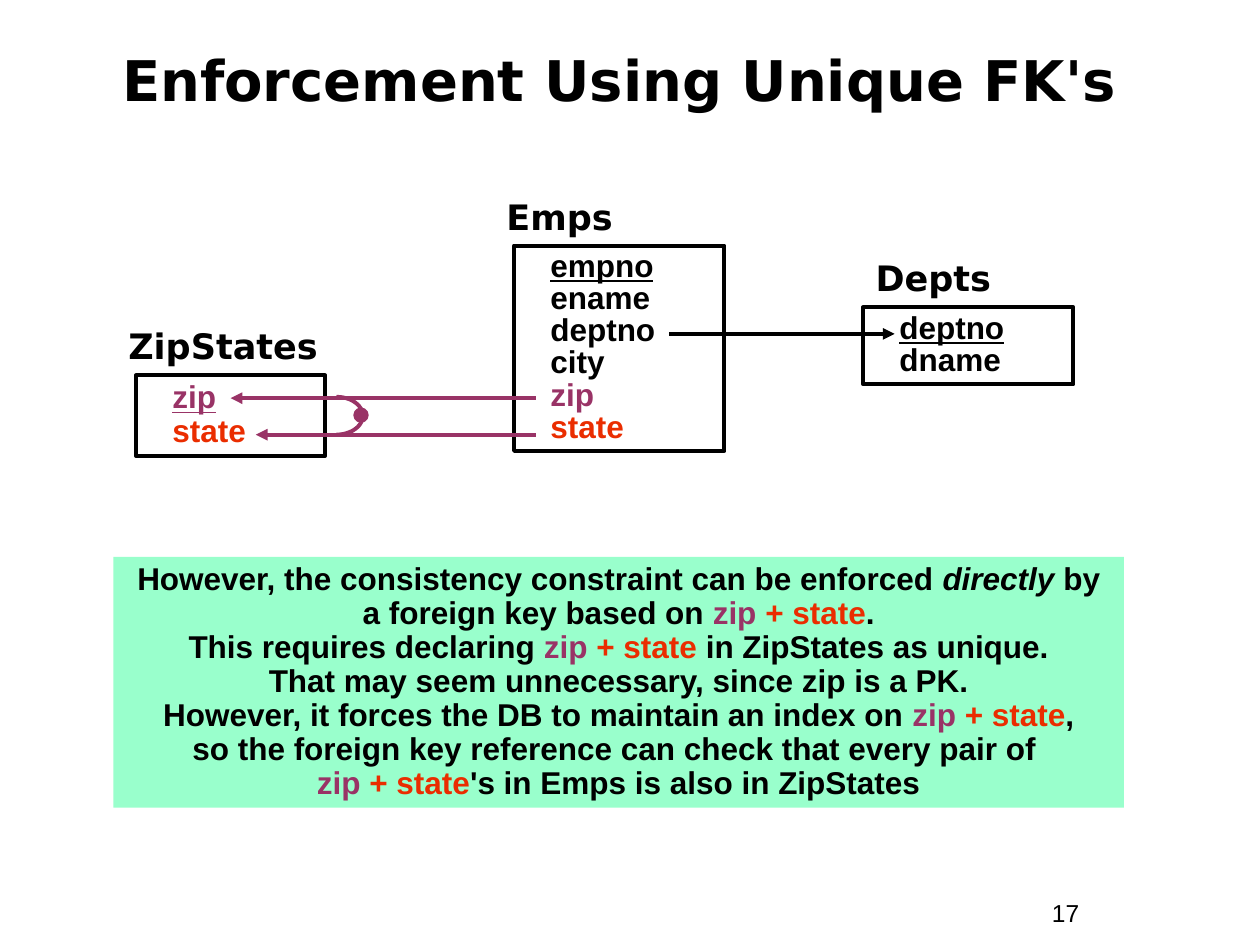
"""Build a slide on enforcing consistency with unique foreign keys."""
import math
from dataclasses import dataclass

from lxml import etree
from pptx import Presentation
from pptx.dml.color import RGBColor
from pptx.enum.shapes import MSO_CONNECTOR, MSO_SHAPE
from pptx.enum.text import MSO_ANCHOR, PP_ALIGN
from pptx.oxml.ns import qn
from pptx.util import Pt

SCALE = 9144
BLANK_LAYOUT = 6
RECTANGLE, OVAL = MSO_SHAPE.RECTANGLE, MSO_SHAPE.OVAL
STRAIGHT = MSO_CONNECTOR.STRAIGHT
TOP, MIDDLE = MSO_ANCHOR.TOP, MSO_ANCHOR.MIDDLE
LEFT, CENTER = PP_ALIGN.LEFT, PP_ALIGN.CENTER


@dataclass(frozen=True)
class Theme:
    black: str = "000000"
    plum: str = "993366"
    red: str = "EA2D00"
    mint: str = "99FFCC"
    heading_font: str = "DejaVu Sans"
    body_font: str = "Arial"
    title_size: int = 32
    label_size: int = 20
    body_size: int = 18
    number_size: int = 14
    line_width: float = 2.25
    indent: int = 19


def px(length):
    return round(length * SCALE)


def write(paragraph, text, font, size, color, bold=True, italic=False, underline=False):
    for index, line in enumerate(text.split("\n")):
        if index:
            paragraph.add_line_break()
        if line:
            run = paragraph.add_run()
            run.text = line
            run.font.name, run.font.size = font, Pt(size)
            run.font.color.rgb = RGBColor.from_string(color)
            run.font.bold, run.font.italic, run.font.underline = bold, italic, underline


class SlideBuilder:
    def __init__(self, slide, theme):
        self.shapes = slide.shapes
        self.theme = theme

    def frame(self, shape, anchor=TOP):
        frame = shape.text_frame
        frame.word_wrap = True
        frame.vertical_anchor = anchor
        frame.margin_left = frame.margin_right = px(10)
        frame.margin_top = frame.margin_bottom = px(5)
        return frame

    def paint(self, shape, fill=None, line=None):
        shape.shadow.inherit = False
        if fill:
            shape.fill.solid()
            shape.fill.fore_color.rgb = RGBColor.from_string(fill)
        else:
            shape.fill.background()
        if line:
            shape.line.color.rgb = RGBColor.from_string(line)
            shape.line.width = Pt(self.theme.line_width)
        else:
            shape.line.fill.background()

    def shape(self, kind, box, fill=None, line=None):
        shape = self.shapes.add_shape(kind, *map(px, box))
        self.paint(shape, fill, line)
        return shape

    def text(self, box, text, font, size, anchor=TOP, align=LEFT, spacing=1.0, bold=True):
        frame = self.frame(self.shapes.add_textbox(*map(px, box)), anchor)
        paragraph = frame.paragraphs[0]
        paragraph.alignment, paragraph.line_spacing = align, spacing
        write(paragraph, text, font, size, self.theme.black, bold=bold)

    def label(self, box, text):
        self.text(box, text, self.theme.heading_font, self.theme.label_size)

    def entity(self, box, fields, spacing=0.85):
        theme = self.theme
        frame = self.frame(self.shape(RECTANGLE, box, line=theme.black))
        colors = {"zip": theme.plum, "state": theme.red}
        for index, field in enumerate(fields):
            paragraph = frame.add_paragraph() if index else frame.paragraphs[0]
            paragraph._p.get_or_add_pPr().set("marL", str(px(theme.indent)))
            paragraph.alignment, paragraph.line_spacing = LEFT, spacing
            write(paragraph, field, theme.body_font, theme.body_size,
                  colors.get(field, theme.black), underline=index == 0)

    def arrow(self, start, end, y, color):
        connector = self.shapes.add_connector(STRAIGHT, px(start), px(y), px(end), px(y))
        connector.line.color.rgb = RGBColor.from_string(color)
        connector.line.width = Pt(self.theme.line_width)
        etree.SubElement(connector.line._get_or_add_ln(), qn("a:tailEnd"), type="triangle")
        etree.SubElement(connector._element.spPr, qn("a:effectLst"))

    def half_ellipse(self, x, y, radius_x, radius_y, color, steps=24):
        angles = [math.pi * (step / steps - 0.5) for step in range(steps + 1)]
        points = [(px(x + radius_x * math.cos(angle)), px(y + radius_y * math.sin(angle)))
                  for angle in angles]
        builder = self.shapes.build_freeform(*points[0])
        builder.add_line_segments(points[1:], close=False)
        self.paint(builder.convert_to_shape(), line=color)

    def callout(self, box, parts):
        theme = self.theme
        frame = self.frame(self.shape(RECTANGLE, box, fill=theme.mint))
        paragraph = frame.paragraphs[0]
        paragraph.alignment, paragraph.line_spacing = CENTER, 0.9
        for text, style in parts:
            write(paragraph, text, theme.body_font, theme.body_size,
                  **{"color": theme.black, **style})


def main():
    theme = Theme()
    presentation = Presentation()
    presentation.slide_width, presentation.slide_height = px(1000), px(750)
    slide = presentation.slides.add_slide(presentation.slide_layouts[BLANK_LAYOUT])
    builder = SlideBuilder(slide, theme)

    builder.text((825, 708, 92, 34), "17", theme.body_font, theme.number_size, bold=False)
    builder.text((33, 21, 933, 92), "Enforcement Using Unique FK's ", theme.heading_font,
                 theme.title_size, anchor=MIDDLE, align=CENTER, spacing=0.85)

    builder.label((392, 150, 158, 44), "Emps")
    builder.entity((408, 195, 167, 163),
                   ["empno", "ename", "deptno", "city", "zip", "state"])
    builder.label((685, 199, 215, 44), "Depts")
    builder.entity((685, 244, 167, 61), ["deptno", "dname"])
    builder.arrow(531, 710, 265, theme.black)
    builder.label((92, 253, 215, 44), "ZipStates")
    builder.entity((108, 298, 150, 64), ["zip", "state"], spacing=0.9)

    for end, y in ((183, 316), (203, 345)):
        builder.arrow(425, end, y, theme.plum)
    builder.half_ellipse(267, 330, 21, 15, theme.plum)
    builder.shape(OVAL, (282, 325, 9, 9), fill=theme.plum, line=theme.plum)

    key = [("zip", {"color": theme.plum}), (" + state", {"color": theme.red})]
    builder.callout((90, 442, 802, 199), [
        ("However, the consistency constraint can be enforced ", {}),
        ("directly", {"italic": True}),
        (" by a foreign key based on ", {}), *key,
        (".\nThis requires declaring ", {}), *key,
        (" in ZipStates as unique.\nThat may seem unnecessary, since zip is a PK.\n"
         "However, it forces the DB to maintain an index on ", {}), *key,
        (",\nso the foreign key reference can check that every pair of \n", {}), *key,
        ("'s in Emps is also in ZipStates", {}),
    ])
    presentation.save("out.pptx")


if __name__ == "__main__":
    main()
